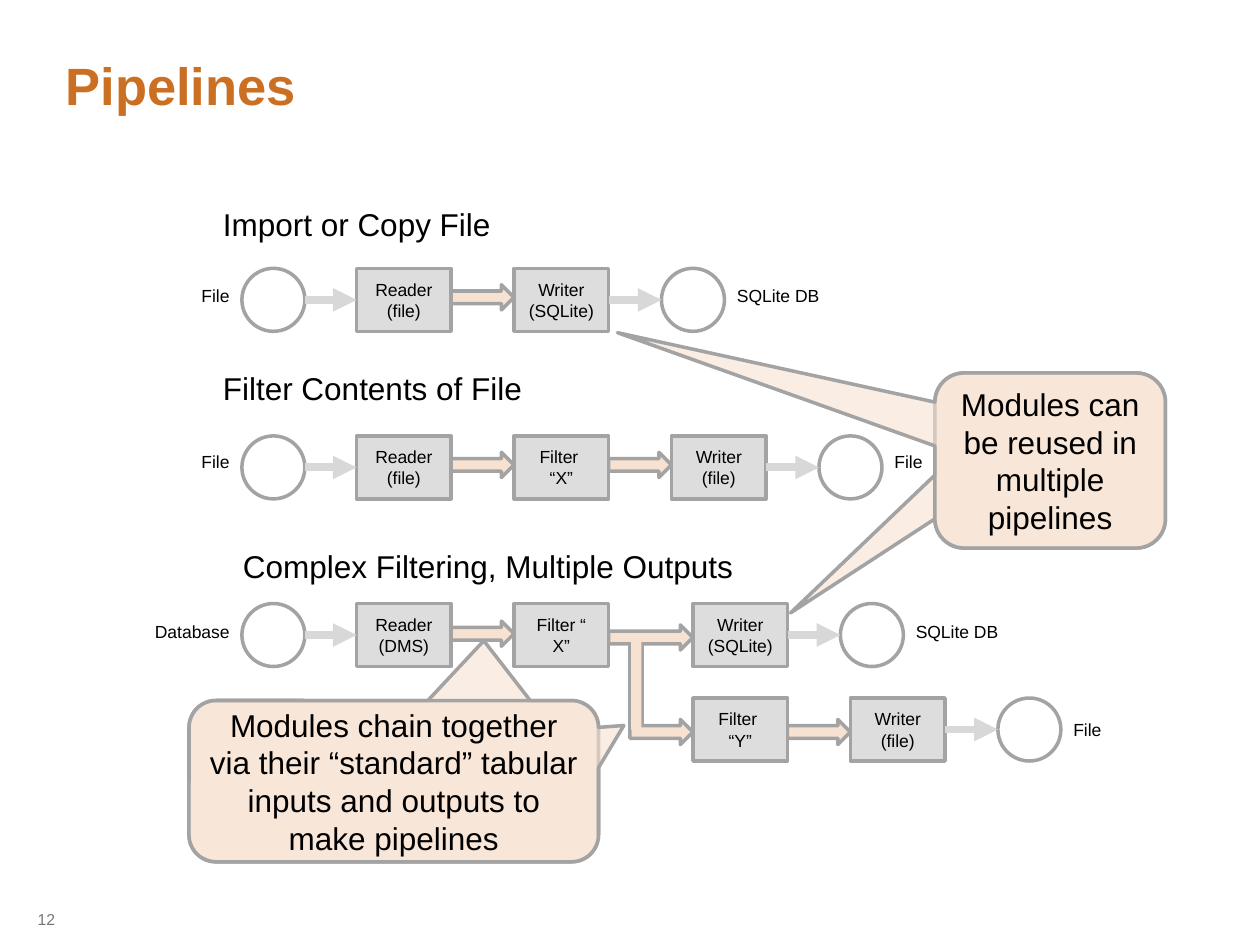
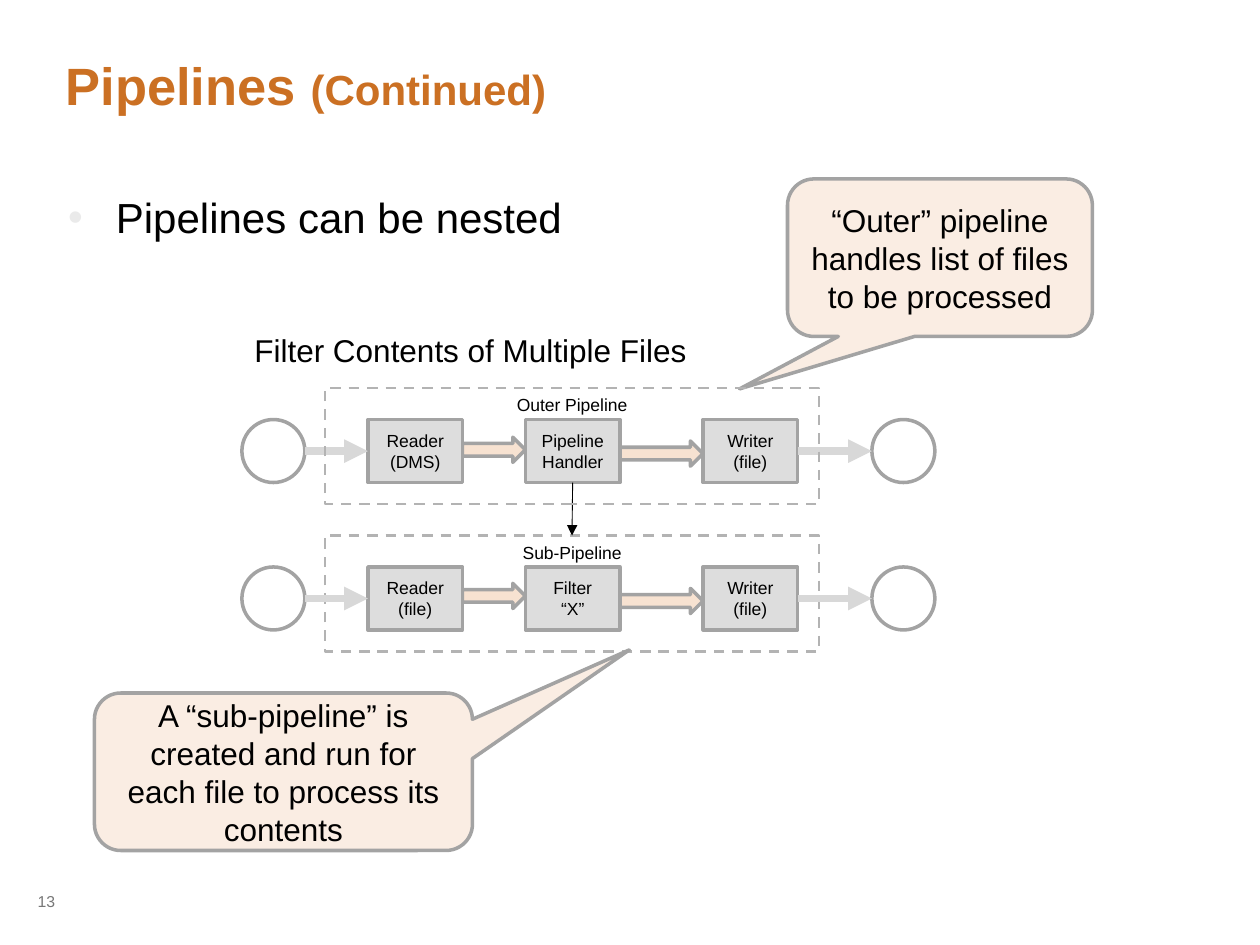
from pptx import Presentation
from pptx.dml.color import RGBColor
from pptx.enum.dml import MSO_LINE
from pptx.enum.shapes import MSO_CONNECTOR, MSO_SHAPE
from pptx.enum.text import MSO_ANCHOR, MSO_AUTO_SIZE, PP_ALIGN
from pptx.oxml.ns import qn
from pptx.util import Inches, Pt
from lxml.etree import SubElement

ORANGE = RGBColor(0xCB, 0x70, 0x23)
PEACH = RGBColor(0xF7, 0xE2, 0xD1)
WHITE = RGBColor(0xFF, 0xFF, 0xFF)
BLACK = RGBColor(0, 0, 0)
BOX_GRAY = RGBColor(0xDD, 0xDD, 0xDD)
OUTLINE = RGBColor(0xA3, 0xA3, 0xA3)
FRAME_GRAY = RGBColor(0xB3, 0xB3, 0xB3)
FLOW_GRAY = RGBColor(0xD8, 0xD8, 0xD8)
NUMBER_GRAY = RGBColor(0x77, 0x77, 0x77)
BULLET_GRAY = "EAEAEA"
FONT = "Arial"

BOX_WIDTH, ROW_HEIGHT, CIRCLE = 0.75, 0.5, 0.5
ARROW_HEIGHT = 0.2
SOURCE_LEFT = 1.92

BASIC_SLIDE = {
    "title": [("Pipelines", 30)],
    "number": ("12", 7.17),
    "headings": [
        ("Import or Copy File", 1.67, 1.58, 2.75),
        ("Filter Contents of File", 1.67, 2.88, 2.75),
        ("Complex Filtering, Multiple Outputs", 1.83, 4.29, 5.5),
    ],
    "pipelines": [
        {"top": 2.13, "source": "File", "sink": "SQLite DB", "sink_left": 5.25,
         "boxes": [(2.83, "Reader (file)"), (4.08, "Writer\n(SQLite)")],
         "arrow_drops": [0.13], "label_drop": 0.08},
        {"top": 3.46, "source": "File", "sink": "File", "sink_left": 6.5,
         "boxes": [(2.83, "Reader\n(file)"), (4.08, "Filter \n“X”"), (5.33, "Writer\n(file)")],
         "arrow_drops": [0.13, 0.13], "label_drop": 0.07},
        {"top": 4.79, "source": "Database", "sink": "SQLite DB", "sink_left": 6.67,
         "boxes": [(2.83, "Reader\n(DMS)"), (4.08, "Filter “\nX”"), (5.5, "Writer\n(SQLite)")],
         "arrow_drops": [0.14, 0.17], "label_drop": 0.09},
        {"top": 5.54, "source": None, "sink": "File", "sink_left": 7.92,
         "boxes": [(5.5, "Filter \n“Y”"), (6.75, "Writer (file)")],
         "arrow_drops": [0.17], "label_drop": 0.12},
    ],
    "callouts": [
        ((1.5, 5.56, 3.25, 1.28), (0.22, -0.871), ""),
        ((1.5, 5.56, 3.25, 1.28), (0.562, -0.345),
         "Modules chain together via their “standard” tabular inputs and outputs to make pipelines"),
        ((7.42, 2.96, 1.83, 1.39), (-1.126, 0.87), ""),
        ((7.42, 2.96, 1.83, 1.39), (-1.877, -0.73), "Modules can be reused in multiple pipelines"),
    ],
}

NESTED_SLIDE = {
    "title": [("Pipelines ", 30), ("(Continued)", 24)],
    "number": ("13", 7.03),
    "headings": [("Filter Contents of Multiple Files", 1.92, 2.58, 5.75)],
    "pipelines": [
        {"top": 3.33, "source": "", "sink": "", "sink_left": 6.92,
         "boxes": [(2.92, "Reader\n(DMS)"), (4.17, "Pipeline\nHandler"), (5.58, "Writer\n(file)")],
         "arrow_drops": [0.14, 0.17]},
        {"top": 4.5, "source": "", "sink": "", "sink_left": 6.92,
         "boxes": [(2.92, "Reader\n(file)"), (4.17, "Filter\n“X”"), (5.58, "Writer\n(file)")],
         "arrow_drops": [0.13, 0.17]},
    ],
    "callouts": [
        ((6.25, 1.42, 2.42, 1.25), (-0.657, 0.833),
         "“Outer” pipeline handles list of files to be processed"),
        ((0.75, 5.5, 3, 1.25), (0.915, -0.774),
         "A “sub-pipeline” is created and run for each file to process its contents"),
    ],
}
BULLET = "Pipelines can be nested"


def apply(target, values):
    for name, value in values.items():
        setattr(target, name, value)


def inches(values):
    return [Inches(value) for value in values]


def add_span(para, text, size, color=BLACK, bold=False):
    span = para.add_run()
    span.text = text
    apply(span.font, {"name": FONT, "size": Pt(size), "bold": bold})
    span.font.color.rgb = color


def write(shape, text, size, align=PP_ALIGN.LEFT, anchor=MSO_ANCHOR.TOP, color=BLACK):
    frame = shape.text_frame
    apply(frame, {"word_wrap": True, "vertical_anchor": anchor})
    for index, line in enumerate(text.split("\n")):
        para = frame.add_paragraph() if index else frame.paragraphs[0]
        para.alignment = align
        add_span(para, line, size, color)


def add_label(page, text, left, top, width, height, size, **style):
    write(page.shapes.add_textbox(*inches((left, top, width, height))), text, size, **style)


def add_block(page, kind, bounds, fill=None, line=OUTLINE, weight=2):
    shape = page.shapes.add_shape(kind, *inches(bounds))
    shape.shadow.inherit = False
    if fill is None:
        shape.fill.background()
    else:
        shape.fill.solid()
        shape.fill.fore_color.rgb = fill
    if line is None:
        shape.line.fill.background()
    else:
        shape.line.color.rgb = line
        shape.line.width = Pt(weight)
    return shape


def add_flow(page, start, end, color=FLOW_GRAY, weight=4.5):
    flow = page.shapes.add_connector(MSO_CONNECTOR.STRAIGHT, *inches(start + end))
    flow.line.color.rgb = color
    flow.line.width = Pt(weight)
    properties = flow.element.spPr
    SubElement(properties.find(qn("a:ln")), qn("a:tailEnd"), type="triangle")
    SubElement(properties, qn("a:effectLst"))
    return flow


def add_fat_arrow(page, left, top, width):
    add_block(page, MSO_SHAPE.RIGHT_ARROW, (left, top, width, ARROW_HEIGHT), PEACH)


def add_circle(page, left, top):
    add_block(page, MSO_SHAPE.OVAL, (left, top, CIRCLE, CIRCLE), WHITE)


def add_pipeline(page, pipeline):
    top, boxes, sink_left = pipeline["top"], pipeline["boxes"], pipeline["sink_left"]
    middle = top + ROW_HEIGHT / 2
    for (left, _), (next_left, _), drop in zip(boxes, boxes[1:], pipeline["arrow_drops"]):
        right = left + BOX_WIDTH
        add_fat_arrow(page, right, top + drop, next_left - right)
    shapes = []
    for left, text in boxes:
        box = add_block(page, MSO_SHAPE.RECTANGLE, (left, top, BOX_WIDTH, ROW_HEIGHT), BOX_GRAY)
        write(box, text, 10, PP_ALIGN.CENTER, MSO_ANCHOR.MIDDLE)
        shapes.append(box)
    if pipeline["source"] is not None:
        add_circle(page, SOURCE_LEFT, top)
        inflow = add_flow(page, (SOURCE_LEFT + CIRCLE, middle), (boxes[0][0], middle))
        inflow.end_connect(shapes[0], 1)
    add_circle(page, sink_left, top)
    outflow = add_flow(page, (boxes[-1][0] + BOX_WIDTH, middle), (sink_left, middle))
    outflow.begin_connect(shapes[-1], 3)
    label_top = top + pipeline.get("label_drop", 0)
    if pipeline["source"]:
        add_label(page, pipeline["source"], SOURCE_LEFT - 0.84, label_top, 0.84, 0.27, 10,
                  align=PP_ALIGN.RIGHT)
    if pipeline["sink"]:
        add_label(page, pipeline["sink"], sink_left + CIRCLE, label_top, 0.92, 0.27, 10)
    return shapes


def add_callout(page, bounds, tip, text):
    callout = add_block(page, MSO_SHAPE.ROUNDED_RECTANGULAR_CALLOUT, bounds, PEACH)
    for index, value in enumerate((*tip, 0.167)):
        callout.adjustments[index] = value
    color = callout.element.spPr.find(qn("a:solidFill"))[0]
    SubElement(color, qn("a:alpha"), val="60000")
    if text:
        write(callout, text, 18, PP_ALIGN.CENTER, MSO_ANCHOR.MIDDLE)


def add_frame(page, top, text):
    frame = add_block(page, MSO_SHAPE.RECTANGLE, (2.58, top, 3.92, 0.92), None, FRAME_GRAY, 1.5)
    frame.line.dash_style = MSO_LINE.DASH
    write(frame, text, 10, PP_ALIGN.CENTER)
    return frame


def fill_placeholder(holder, bounds, spans, color, bold):
    apply(holder, dict(zip(("left", "top", "width", "height"), inches(bounds))))
    margins = dict.fromkeys(("margin_left", "margin_top", "margin_right", "margin_bottom"), 0)
    apply(holder.text_frame, {**margins, "word_wrap": True, "auto_size": MSO_AUTO_SIZE.NONE,
                              "vertical_anchor": MSO_ANCHOR.TOP})
    para = holder.text_frame.paragraphs[0]
    apply(para, {"alignment": PP_ALIGN.LEFT, "line_spacing": 0.85})
    for text, size in spans:
        add_span(para, text, size, color, bold)
    return para


def start_page(deck, layout, content):
    page = deck.slides.add_slide(deck.slide_layouts[layout])
    fill_placeholder(page.shapes.title, (0.52, 0.5, 8.97, 1.08), content["title"], ORANGE, True)
    number, top = content["number"]
    add_label(page, number, 0.2, top, 0.67, 0.25, 9, color=NUMBER_GRAY)
    for text, left, top, width in content["headings"]:
        add_label(page, text, left, top, width, 0.4, 18)
    return page


def add_bullet(page):
    para = fill_placeholder(page.placeholders[1], (0.54, 1.58, 8.71, 0.67),
                            [(BULLET, 24)], BLACK, False)
    para.space_before = Pt(7.2)
    properties = para._p.get_or_add_pPr()
    properties.set("marL", str(Inches(0.38)))
    properties.set("indent", str(Inches(-0.38)))
    SubElement(SubElement(properties, qn("a:buClr")), qn("a:srgbClr"), val=BULLET_GRAY)
    SubElement(properties, qn("a:buFont"), typeface=FONT)
    SubElement(properties, qn("a:buChar"), char="•")


def build_basic(deck):
    page = start_page(deck, 5, BASIC_SLIDE)
    add_block(page, MSO_SHAPE.RECTANGLE, (5, 5.08, 0.1, 0.75), PEACH)
    add_fat_arrow(page, 5, 5.71, 0.5)
    for pipeline in BASIC_SLIDE["pipelines"]:
        add_pipeline(page, pipeline)
    add_block(page, MSO_SHAPE.RECTANGLE, (5.01, 5.04, 0.08, 0.75), PEACH, None)
    for callout in BASIC_SLIDE["callouts"]:
        add_callout(page, *callout)


def build_nested(deck):
    page = start_page(deck, 1, NESTED_SLIDE)
    add_bullet(page)
    sub_frame = add_frame(page, 4.25, "Sub-Pipeline")
    outer, _ = [add_pipeline(page, pipeline) for pipeline in NESTED_SLIDE["pipelines"]]
    launch = add_flow(page, (4.54, 3.83), (4.54, 4.25), BLACK, 0.5)
    launch.begin_connect(outer[1], 2)
    launch.end_connect(sub_frame, 0)
    for callout in NESTED_SLIDE["callouts"]:
        add_callout(page, *callout)
    add_frame(page, 3.08, "Outer Pipeline")


def main():
    deck = Presentation()
    apply(deck, {"slide_width": Inches(10), "slide_height": Inches(7.5)})
    build_basic(deck)
    build_nested(deck)
    deck.save("out.pptx")


if __name__ == "__main__":
    main()
